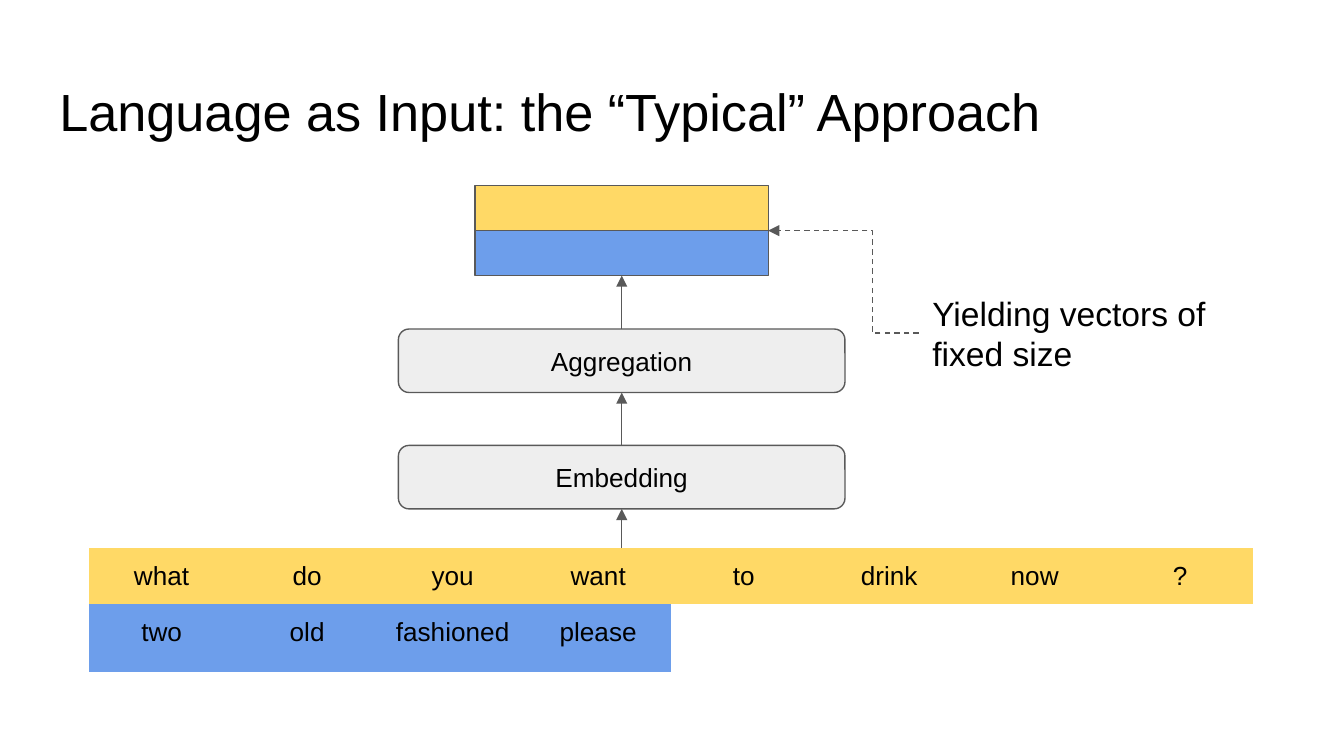
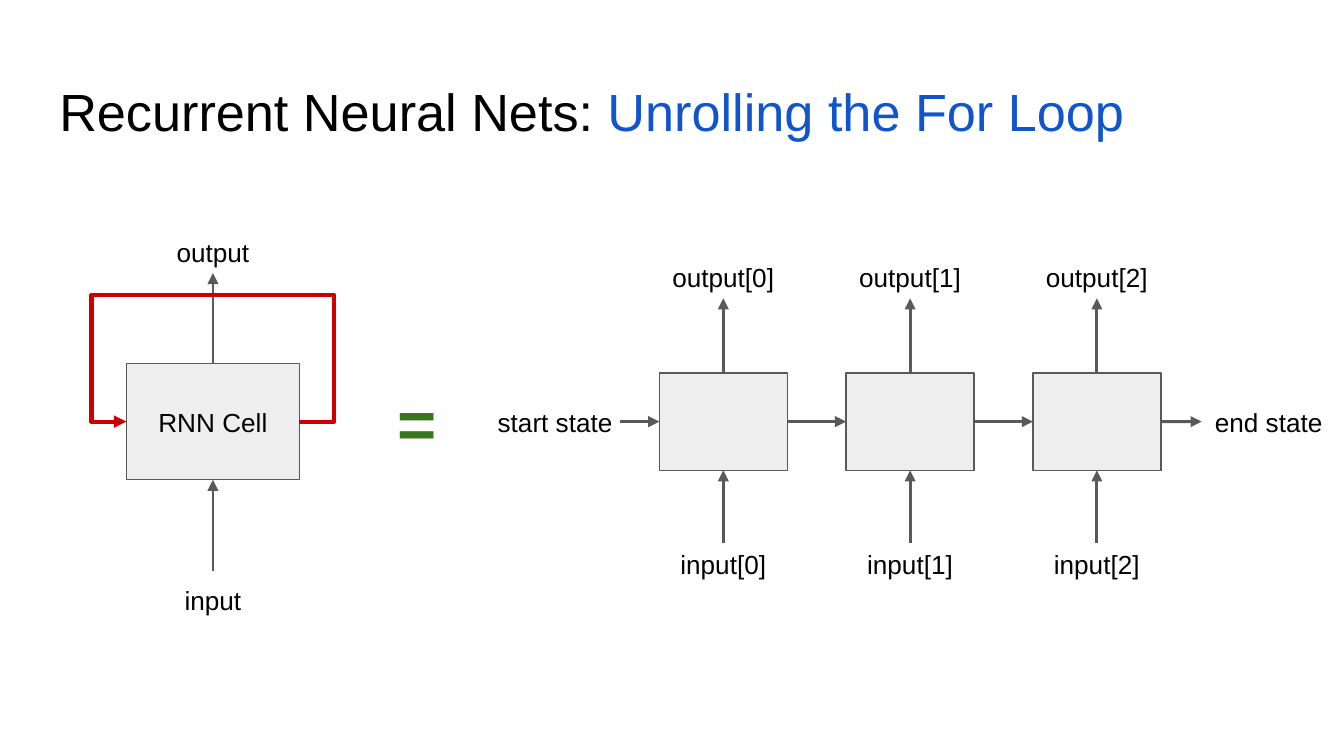
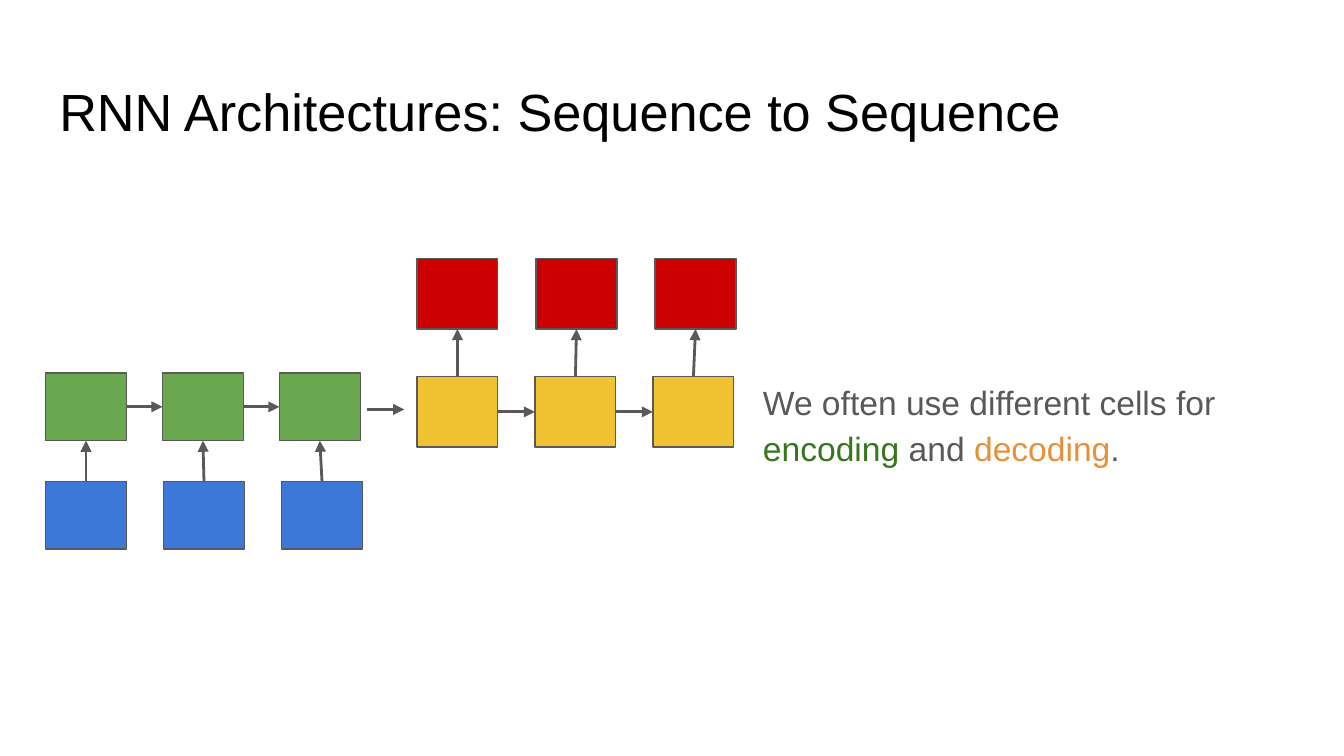
from lxml import etree
from pptx import Presentation
from pptx import util as u
from pptx.dml.color import RGBColor
from pptx.enum import dml, shapes, text
from pptx.oxml.ns import qn

FONT = "Arial"
BLACK, GREY, LIGHT = "000000", "595959", "EEEEEE"
YELLOW, BLUE, GREEN, RED = "FFD966", "6D9EEB", "38761D", "CC0000"
TITLE_BOX = (0.87, 1.24, 23.67, 1.6)
MARGIN = 0.25
NO_TABLE_STYLE = "{2D5ABB26-0587-4C30-8999-92F81FD0307C}"
TOP, LEFT, BOTTOM, RIGHT = range(4)
ALIGN = text.PP_ALIGN
ANCHOR = text.MSO_ANCHOR

# Typical approach
TYPICAL_TITLE = [("Language as Input: the “Typical” Approach", BLACK)]
SENTENCES = [
    (YELLOW, 1.06, ["what", "do", "you", "want", "to", "drink", "now", "?"]),
    (BLUE, 1.21, ["two", "old", "fashioned", "please"]),
]
STAGES = [("Embedding", 8.42), ("Aggregation", 6.22)]
VECTOR_NOTE = [("Yielding vectors of fixed size", BLACK)]

# Unrolled loop
UNROLL_TITLE = [("Recurrent Neural Nets: ", BLACK), ("Unrolling the For Loop", "1155CC")]
STEP_COUNT = 3

# Sequence to sequence: fill, left, top, step, height
SEQUENCE_TITLE = [("RNN Architectures: Sequence to Sequence", BLACK)]
CELL_ROWS = {
    "input": ("3C78D8", 0.86, 9.1, 2.23, 1.28),
    "encoder": ("6AA84F", 0.86, 7.05, 2.21, 1.28),
    "decoder": ("F1C232", 7.88, 7.12, 2.23, 1.33),
    "output": (RED, 7.88, 4.89, 2.25, 1.33),
}
CELL_WIDTH = 1.53
CELLS_NOTE = [
    ("We often use different cells for ", GREY), ("encoding", GREEN),
    (" and ", GREY), ("decoding", "E69138"), (".", GREY),
]


def color(value):
    return RGBColor.from_string(value)


def cm(values):
    return [u.Cm(value) for value in values]


def set_margins(target):
    """Give a text frame or a table cell the same inset on all sides."""
    target.margin_left = target.margin_right = u.Cm(MARGIN)
    target.margin_top = target.margin_bottom = u.Cm(MARGIN)


def write(frame, runs, size=14, align=ALIGN.CENTER, bold=False):
    paragraph = frame.paragraphs[0]
    paragraph.alignment = align
    for words, run_color in runs:
        run = paragraph.add_run()
        run.text = words
        run.font.name = FONT
        run.font.size = u.Pt(size)
        run.font.bold = bold
        run.font.color.rgb = color(run_color)
    return paragraph


def add_slide(presentation, title_runs):
    slide = presentation.slides.add_slide(presentation.slide_layouts[5])
    title = slide.shapes.title
    title.left, title.top, title.width, title.height = cm(TITLE_BOX)
    frame = title.text_frame
    set_margins(frame)
    frame.auto_size = text.MSO_AUTO_SIZE.NONE
    frame.vertical_anchor = ANCHOR.TOP
    write(frame, title_runs, 28, ALIGN.LEFT)
    return slide


def add_label(slide, box, runs, size=14, align=ALIGN.CENTER, anchor=ANCHOR.MIDDLE, bold=False):
    label = slide.shapes.add_textbox(*cm(box))
    frame = label.text_frame
    frame.word_wrap = True
    frame.vertical_anchor = anchor
    set_margins(frame)
    write(frame, runs, size, align, bold)
    return label


def add_box(slide, box, fill, words="", kind=shapes.MSO_SHAPE.RECTANGLE):
    shape = slide.shapes.add_shape(kind, *cm(box))
    shape.shadow.inherit = False
    shape.fill.solid()
    shape.fill.fore_color.rgb = color(fill)
    shape.line.color.rgb = color(GREY)
    shape.line.width = u.Pt(0.75)
    if words:
        set_margins(shape.text_frame)
        shape.text_frame.vertical_anchor = ANCHOR.MIDDLE
        write(shape.text_frame, [(words, BLACK)])
    return shape


def style_arrow(arrow, width, line_color=GREY, dash=None):
    arrow.line.color.rgb = color(line_color)
    arrow.line.width = u.Pt(width)
    if dash:
        arrow.line.dash_style = dash
    etree.SubElement(arrow.get_or_add_ln(), qn("a:tailEnd"), type="triangle")


def add_arrow(slide, start, end, width=1.5, dash=None, bend=None):
    """Draw an arrow; each end is a point in cm or a (shape, side) pair."""
    kind = shapes.MSO_CONNECTOR.STRAIGHT if bend is None else shapes.MSO_CONNECTOR.ELBOW
    points = [cm(site) if isinstance(site[0], (int, float)) else (0, 0) for site in (start, end)]
    arrow = slide.shapes.add_connector(kind, *points[0], *points[1])
    if not isinstance(start[0], (int, float)):
        arrow.begin_connect(*start)
    if not isinstance(end[0], (int, float)):
        arrow.end_connect(*end)
    style_arrow(arrow, width, dash=dash)
    properties = arrow._element.spPr
    etree.SubElement(properties, qn("a:effectLst"))
    if bend is not None:
        adjustments = properties.find(qn("a:prstGeom")).get_or_add_avLst()
        etree.SubElement(adjustments, qn("a:gd"), name="adj1", fmla=f"val {round(bend * 100000)}")


def add_sentence_table(slide, left, top, column_width):
    columns = max(len(words) for _, _, words in SENTENCES)
    height = sum(row_height for _, row_height, _ in SENTENCES)
    box = cm((left, top, columns * column_width, height))
    frame = slide.shapes.add_table(len(SENTENCES), columns, *box)
    table = frame.table
    table.first_row = table.horz_banding = False
    frame._element.find(".//" + qn("a:tableStyleId")).text = NO_TABLE_STYLE
    for column in table.columns:
        column.width = u.Cm(column_width)
    for row, (fill, row_height, words) in zip(table.rows, SENTENCES):
        row.height = u.Cm(row_height)
        for index, cell in enumerate(row.cells):
            set_margins(cell)
            if index < len(words):
                cell.fill.solid()
                cell.fill.fore_color.rgb = color(fill)
                write(cell.text_frame, [(words[index], BLACK)])
            else:
                cell.fill.background()


def build_typical(presentation):
    slide = add_slide(presentation, TYPICAL_TITLE)
    center, table_top = 11.75, 10.36
    stage_width, vector_width, vector_height, vector_top = 8.44, 5.54, 0.85, 3.51
    add_sentence_table(slide, 1.68, table_top, 2.75)
    source = (center, table_top)
    for name, top in STAGES:
        box = (center - stage_width / 2, top, stage_width, 1.2)
        stage = add_box(slide, box, LIGHT, name, shapes.MSO_SHAPE.ROUNDED_RECTANGLE)
        add_arrow(slide, source, (stage, BOTTOM), 0.75)
        source = (stage, TOP)
    for index, fill in enumerate((YELLOW, BLUE)):
        vector = add_box(slide, (center - vector_width / 2, vector_top + index * vector_height,
                                 vector_width, vector_height), fill)
    add_arrow(slide, source, (vector, BOTTOM), 0.75)
    note = add_label(slide, (17.37, 2.84, 6.35, 6.91), VECTOR_NOTE, 18, ALIGN.LEFT)
    seam = (center + vector_width / 2, vector_top + vector_height)
    add_arrow(slide, (note, LEFT), seam, 0.75, dml.MSO_LINE.DASH, bend=0.31)


def add_feedback_loop(slide, left, right, middle, top, overhang):
    """Lead from the cell's right side over its top and back to its left side."""
    points = [(right, middle), (right + overhang, middle), (right + overhang, top),
              (left - overhang, top), (left - overhang, middle), (left, middle)]
    start, *rest = [tuple(cm(point)) for point in points]
    builder = slide.shapes.build_freeform(*start)
    builder.add_line_segments(rest, close=False)
    loop = builder.convert_to_shape()
    loop.shadow.inherit = False
    loop.fill.background()
    style_arrow(loop, 2.25, RED)


def build_unrolled(presentation):
    slide = add_slide(presentation, UNROLL_TITLE)
    middle = 7.97

    left, width, height = 2.39, 3.27, 2.2
    cell = add_box(slide, (left, middle - height / 2, width, height), LIGHT, "RNN Cell")
    output, source = [
        add_label(slide, (left, top, width, 0.94), [(words, BLACK)], anchor=ANCHOR.TOP)
        for words, top in (("output", 4.22), ("input", 10.8))
    ]
    add_arrow(slide, (source, TOP), (cell, BOTTOM))
    add_arrow(slide, (cell, TOP), (output, BOTTOM))
    add_feedback_loop(slide, left, left + width, middle, 6.2 - 0.62, 0.66)
    add_label(slide, (7.09, 6.99, 1.57, 1.98), [("=", GREEN)], 36, bold=True)

    left, step, width, height = 12.46, 3.53, 2.42, 1.84
    label_width, label_height = 2.84, 0.79
    state_top = middle - label_height / 2
    add_label(slide, (8.99, state_top, label_width, label_height),
              [("start state", BLACK)], align=ALIGN.RIGHT)
    state = (11.71, middle)
    for index in range(STEP_COUNT):
        x = left + index * step
        cell = add_box(slide, (x, middle - height / 2, width, height), LIGHT)
        label_left = x + (width - label_width) / 2
        output, source = [
            add_label(slide, (label_left, top, label_width, label_height),
                      [(f"{name}[{index}]", BLACK)])
            for name, top in (("output", 4.85), ("input", 10.26))
        ]
        add_arrow(slide, (source, TOP), (cell, BOTTOM))
        add_arrow(slide, (cell, TOP), (output, BOTTOM))
        add_arrow(slide, state, (cell, LEFT))
        state = (cell, RIGHT)
    end = add_label(slide, (22.71, state_top, 2.69, label_height),
                    [("end state", BLACK)], align=ALIGN.LEFT)
    add_arrow(slide, state, (end, LEFT))


def build_sequence(presentation):
    slide = add_slide(presentation, SEQUENCE_TITLE)
    rows = {
        name: [add_box(slide, (left + index * step, top, CELL_WIDTH, height), fill)
               for index in range(STEP_COUNT)]
        for name, (fill, left, top, step, height) in CELL_ROWS.items()
    }
    for lower, upper in (("input", "encoder"), ("decoder", "output")):
        for source, target in zip(rows[lower], rows[upper]):
            add_arrow(slide, (source, TOP), (target, BOTTOM))
    for name in ("encoder", "decoder"):
        for source, target in zip(rows[name], rows[name][1:]):
            add_arrow(slide, (source, RIGHT), (target, LEFT))
    add_arrow(slide, (6.94, 7.74), (7.64, 7.74))
    note = add_label(slide, (14.17, 3.56, 10.29, 8.84), CELLS_NOTE, 18, ALIGN.LEFT)
    paragraph = note.text_frame.paragraphs[0]
    paragraph.line_spacing = 1.15
    paragraph.space_after = u.Pt(16)


def main():
    presentation = Presentation()
    presentation.slide_width, presentation.slide_height = cm((25.4, 14.29))
    build_typical(presentation)
    build_unrolled(presentation)
    build_sequence(presentation)
    presentation.save("out.pptx")


if __name__ == "__main__":
    main()
